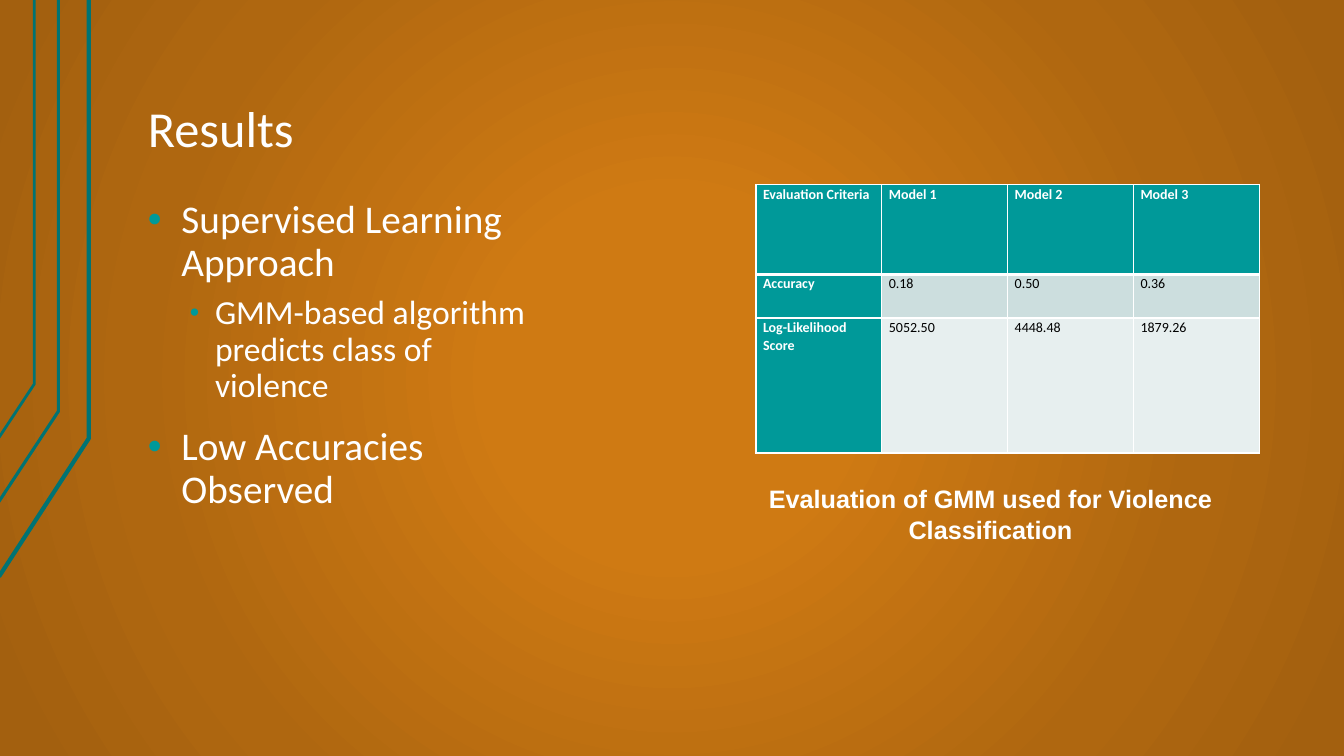
from dataclasses import dataclass
from typing import Optional

from lxml.etree import SubElement
from pptx import Presentation
from pptx.dml.color import RGBColor
from pptx.enum.text import MSO_ANCHOR as Anchor, MSO_AUTO_SIZE as AutoSize, PP_ALIGN as Align
from pptx.oxml import parse_xml
from pptx.oxml.ns import nsdecls, qn
from pptx.slide import Slide
from pptx.text.text import TextFrame, _Paragraph as Paragraph
from pptx.util import Pt

WHITE, BLACK, TEAL, DARK_TEAL = "FFFFFF", "000000", "009999", "007373"
BACKGROUND_STOPS = [(0, "CF7A13"), (23, "CF7A13"), (69, "AF6710"), (97, "A3600F")]


@dataclass
class Stripe:
    right: float
    bend: float
    left: float
    bottom: float
    weight: float


@dataclass
class Point:
    text: str
    size: float
    margin: float
    hanging: float
    space_before: float
    level: int = 0
    bullet_percent: int = 100


@dataclass
class Row:
    label: str
    values: list[str]
    height: float
    fill: str
    text_color: str


STRIPES = [
    Stripe(63.36, 313.2, -0.72, 411.84, 3),
    Stripe(41.76, 293.76, -1.44, 359.28, 2.25),
    Stripe(24.48, 274.32, -0.72, 312.48, 2),
]
POINTS = [
    Point("Supervised Learning Approach", 28, 24, 24, 0),
    Point("GMM-based algorithm predicts class of violence", 24, 48, 18, 8, 1, 80),
    Point("Low Accuracies Observed", 28, 24, 24, 16),
]
ROWS = [
    Row("Evaluation Criteria", ["Model 1", "Model 2", "Model 3"], 64.1, TEAL, WHITE),
    Row("Accuracy", ["0.18", "0.50", "0.36"], 31, "CCDEDE", BLACK),
    Row("Log-Likelihood Score", ["5052.50", "4448.48", "1879.26"], 96.5, "E7EFEF", BLACK),
]


def rgb(color: str) -> RGBColor:
    return RGBColor.from_string(color)


def paint_background(slide: Slide) -> None:
    slide.background.fill.gradient()
    gradient = slide.element.find(".//" + qn("a:gradFill"))
    for child in list(gradient):
        gradient.remove(child)
    stops = SubElement(gradient, qn("a:gsLst"))
    for position, color in BACKGROUND_STOPS:
        stop = SubElement(stops, qn("a:gs"), pos=str(position * 1000))
        SubElement(stop, qn("a:srgbClr"), val=color)
    circle = SubElement(gradient, qn("a:path"), path="circle")
    SubElement(circle, qn("a:fillToRect"), l="50000", t="50000", r="50000", b="50000")


def draw_stripe(slide: Slide, stripe: Stripe) -> None:
    builder = slide.shapes.build_freeform(Pt(stripe.left), Pt(stripe.bottom))
    corners = [(stripe.right, stripe.bend), (stripe.right, 0)]
    builder.add_line_segments([(Pt(x), Pt(y)) for x, y in corners], close=False)
    outline = builder.convert_to_shape()
    outline.shadow.inherit = False
    outline.fill.background()
    outline.line.color.rgb = rgb(DARK_TEAL)
    outline.line.width = Pt(stripe.weight)


def style(paragraph: Paragraph, size: float, color: str = WHITE,
          bold: bool = False, name: str = "Calibri") -> None:
    font = paragraph.font
    font.name, font.size, font.bold = name, Pt(size), bold
    font.color.rgb = rgb(color)


def add_text_area(slide: Slide, left: float, top: float, width: float, height: float,
                  side_inset: float = 9.6, end_inset: float = 4.8) -> TextFrame:
    frame = slide.shapes.add_textbox(Pt(left), Pt(top), Pt(width), Pt(height)).text_frame
    frame.word_wrap = True
    frame.margin_left = frame.margin_right = Pt(side_inset)
    frame.margin_top = frame.margin_bottom = Pt(end_inset)
    return frame


def write_point(paragraph: Paragraph, point: Point) -> None:
    paragraph.text = point.text
    paragraph.level = point.level
    paragraph.line_spacing = 0.9
    paragraph.space_before = Pt(point.space_before)
    properties = paragraph._p.get_or_add_pPr()
    properties.set("marL", str(Pt(point.margin)))
    properties.set("indent", str(-Pt(point.hanging)))
    bullet_color = SubElement(properties, qn("a:buClr"))
    SubElement(bullet_color, qn("a:srgbClr"), val=TEAL)
    SubElement(properties, qn("a:buSzPct"), val=str(point.bullet_percent * 1000))
    SubElement(properties, qn("a:buFont"), typeface="Arial")
    SubElement(properties, qn("a:buChar"), char="•")
    style(paragraph, point.size)


def fill_cell(cell, text: str, fill: str, color: str, bold: bool,
              top_border: float, bottom_border: float) -> None:
    cell.margin_left = cell.margin_right = Pt(5.04)
    cell.margin_top = cell.margin_bottom = Pt(0)
    cell.fill.solid()
    cell.fill.fore_color.rgb = rgb(fill)
    paragraph = cell.text_frame.paragraphs[0]
    paragraph.text = text
    paragraph.alignment = Align.JUSTIFY
    paragraph.line_spacing = 1.07
    style(paragraph, 10, color, bold)
    borders = {"lnL": 1, "lnR": 1, "lnT": top_border, "lnB": bottom_border}
    for index, (side, weight) in enumerate(borders.items()):
        cell._tc.get_or_add_tcPr().insert(index, parse_xml(
            f'<a:{side} {nsdecls("a")} w="{Pt(weight)}"><a:solidFill>'
            f'<a:srgbClr val="{WHITE}"/></a:solidFill></a:{side}>'))


def add_evaluation(slide: Slide, left: float, top: float, column_width: float) -> None:
    column_count = 1 + len(ROWS[0].values)
    evaluation = slide.shapes.add_table(
        len(ROWS), column_count, Pt(left), Pt(top),
        Pt(column_width * column_count), Pt(sum(row.height for row in ROWS))).table
    evaluation.first_row = evaluation.horz_banding = False
    for column in evaluation.columns:
        column.width = Pt(column_width)
    for r, row in enumerate(ROWS):
        evaluation.rows[r].height = Pt(row.height)
        for c, text in enumerate([row.label, *row.values]):
            heading = r == 0 or c == 0
            fill_cell(evaluation.cell(r, c), text, TEAL if heading else row.fill,
                      WHITE if heading else row.text_color, heading,
                      3 if r == 1 else 1, 3 if r == 0 else 1)


def main() -> None:
    presentation = Presentation()
    presentation.slide_width, presentation.slide_height = Pt(960), Pt(540)
    slide = presentation.slides.add_slide(presentation.slide_layouts[6])
    paint_background(slide)
    for stripe in STRIPES:
        draw_stripe(slide, stripe)

    title = add_text_area(slide, 96, 21.6, 816, 96.5)
    title.vertical_anchor = Anchor.BOTTOM
    title.paragraphs[0].text = "Results"
    title.paragraphs[0].line_spacing = 0.9
    style(title.paragraphs[0], 36)

    findings = add_text_area(slide, 96, 138, 306, 351.5)
    for index, point in enumerate(POINTS):
        write_point(findings.add_paragraph() if index else findings.paragraphs[0], point)

    add_evaluation(slide, 540, 132, 89.9)

    caption = add_text_area(slide, 533.5, 342, 348, 51, 7.2, 3.6)
    caption.auto_size = AutoSize.SHAPE_TO_FIT_TEXT
    caption.paragraphs[0].text = "Evaluation of GMM used for Violence Classification"
    caption.paragraphs[0].alignment = Align.CENTER
    style(caption.paragraphs[0], 18, bold=True, name="Arial")

    presentation.save("out.pptx")


if __name__ == "__main__":
    main()
